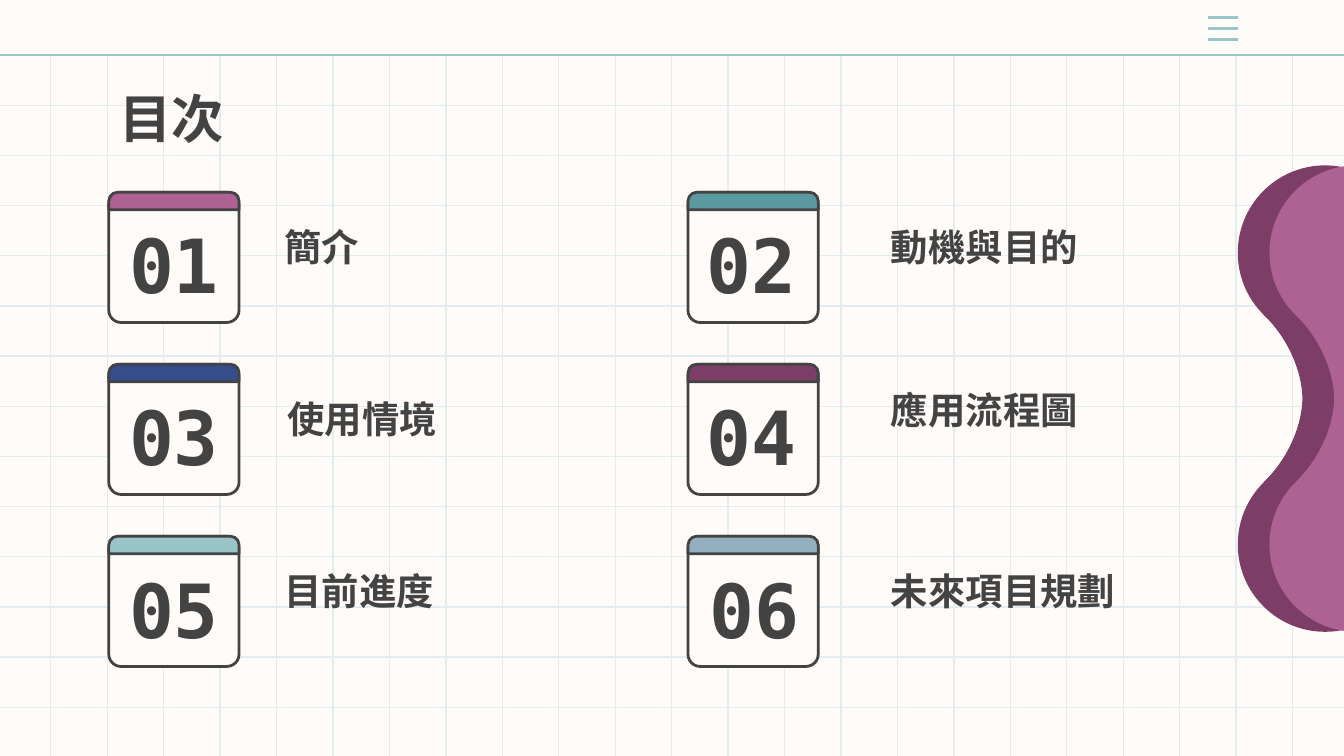
from lxml import etree
from pptx import Presentation
from pptx.dml.color import RGBColor
from pptx.enum.shapes import MSO_CONNECTOR as Connector, MSO_SHAPE as Shape
from pptx.enum.text import MSO_ANCHOR as Anchor, PP_ALIGN as Align
from pptx.oxml.ns import qn
from pptx.util import Pt

WIDTH, HEIGHT = 720, 405
FONT = "DejaVu Sans Mono"
PAPER, INK = "FFFBF9", "434343"
GRID, TEAL = "E1EDEE", "99C4C8"
PLUM, PINK = "7C3E66", "AE6193"

CARD_SIZE, CARD_HEADER = 69.8, 9.4
CARD_TOP, CARD_STEP = 103, 92.15
CARD_LEFTS = (58.3, 368.6)

# number, header colour, number nudge, label, label left, label top
CARDS = [
    ("01", PINK, 0, "簡介", 145.4, 123.8),
    ("02", "5A999F", -1, "動機與目的", 470.2, 123.8),
    ("03", "354D8A", 0, "使用情境", 146.9, 216),
    ("04", PLUM, -1, "應用流程圖", 470.2, 211),
    ("05", TEAL, 0, "目前進度", 145.4, 308.2),
    ("06", "94B0C0", 0.5, "未來項目規劃", 470.2, 308.2),
]


def color(value):
    return RGBColor.from_string(value)


def add_line(slide, x1, y1, x2, y2, line_color, width):
    line = slide.shapes.add_connector(
        Connector.STRAIGHT, Pt(x1), Pt(y1), Pt(x2), Pt(y2))
    line.line.color.rgb = color(line_color)
    line.line.width = Pt(width)
    etree.SubElement(line._element.spPr, qn("a:effectLst"))


def paint(shape, fill, outline=None):
    shape.shadow.inherit = False
    shape.fill.solid()
    shape.fill.fore_color.rgb = color(fill)
    if outline:
        shape.line.color.rgb = color(outline)
        shape.line.width = Pt(1.5)
    else:
        shape.line.fill.background()


def add_shape(slide, kind, left, top, width, height, fill, outline=None, adjustments=()):
    shape = slide.shapes.add_shape(kind, Pt(left), Pt(top), Pt(width), Pt(height))
    for index, value in enumerate(adjustments):
        shape.adjustments[index] = value
    paint(shape, fill, outline)


def add_text(slide, text, left, top, width, height, size,
             anchor=Anchor.TOP, align=Align.LEFT, spacing=1.0):
    box = slide.shapes.add_textbox(Pt(left), Pt(top), Pt(width), Pt(height))
    frame = box.text_frame
    frame.word_wrap = True
    frame.vertical_anchor = anchor
    frame.margin_left = frame.margin_right = Pt(7.2)
    frame.margin_top = frame.margin_bottom = Pt(7.2)
    paragraph = frame.paragraphs[0]
    paragraph.text = text
    paragraph.alignment = align
    paragraph.line_spacing = spacing
    font = paragraph.font
    font.name, font.size, font.bold = FONT, Pt(size), True
    font.color.rgb = color(INK)


def add_grid(slide):
    bar = 29.5
    for column in range(23):
        x = 27.2 + column * 30.24
        add_line(slide, x, bar, x, HEIGHT, GRID, 0.75)
    for row in range(1, 14):
        y = bar + row * 26.88
        add_line(slide, 0, y, WIDTH, y, GRID, 0.75)
    add_line(slide, 0, bar, WIDTH, bar, TEAL, 1.5)


def add_menu_icon(slide):
    for row in range(3):
        y = 9.3 + row * 5.9
        add_line(slide, 647.2, y, 663.2, y, TEAL, 1.5)


def bezier(start, control1, control2, end, steps=24):
    points = []
    for step in range(steps + 1):
        t = step / steps
        weights = ((1 - t) ** 3, 3 * t * (1 - t) ** 2, 3 * t ** 2 * (1 - t), t ** 3)
        points.append(tuple(
            sum(weight * value for weight, value in zip(weights, values))
            for values in zip(start, control1, control2, end)))
    return points


def add_blob(slide, shift, fill):
    """Two round lobes joined by a waisted neck."""
    for top in (88.6, 244.9):
        add_shape(slide, Shape.OVAL, 663.1 + shift, top, 93.6, 93.6, fill)
    middle = 213.5
    upper = bezier((676.8, 168.5), (691.2, 182.2), (697.7, 200.9), (697.7, middle))
    lower = [(x, 2 * middle - y) for x, y in reversed(upper)]
    edge = upper + lower[1:] + [(723.6, 258.5), (723.6, 168.5)]
    points = [(Pt(x + shift), Pt(y)) for x, y in edge]
    builder = slide.shapes.build_freeform(*points[0])
    builder.add_line_segments(points[1:], close=True)
    paint(builder.convert_to_shape(), fill)


def add_card(slide, left, top, number, header_color, nudge):
    add_shape(slide, Shape.ROUNDED_RECTANGLE, left, top, CARD_SIZE, CARD_SIZE,
              PAPER, INK, (0.094,))
    add_shape(slide, Shape.ROUND_2_SAME_RECTANGLE, left, top, CARD_SIZE, CARD_HEADER,
              header_color, INK, (0.5, 0))
    add_text(slide, number, left + nudge, top + 15.8, CARD_SIZE, 45.4, 40,
             Anchor.MIDDLE, Align.CENTER)


def main():
    presentation = Presentation()
    presentation.slide_width, presentation.slide_height = Pt(WIDTH), Pt(HEIGHT)
    slide = presentation.slides.add_slide(presentation.slide_layouts[6])
    slide.background.fill.solid()
    slide.background.fill.fore_color.rgb = color(PAPER)

    add_grid(slide)
    add_menu_icon(slide)
    add_blob(slide, 0, PLUM)
    add_blob(slide, 17, PINK)
    add_text(slide, "目次", 56.9, 38.9, 607, 45.4, 28)
    for index, (number, header_color, nudge, label, label_left, label_top) in enumerate(CARDS):
        row, column = divmod(index, 2)
        add_card(slide, CARD_LEFTS[column], CARD_TOP + row * CARD_STEP,
                 number, header_color, nudge)
        add_text(slide, label, label_left, label_top, 164, 27.4, 20,
                 Anchor.BOTTOM, spacing=1.15)
    presentation.save("out.pptx")


if __name__ == "__main__":
    main()
